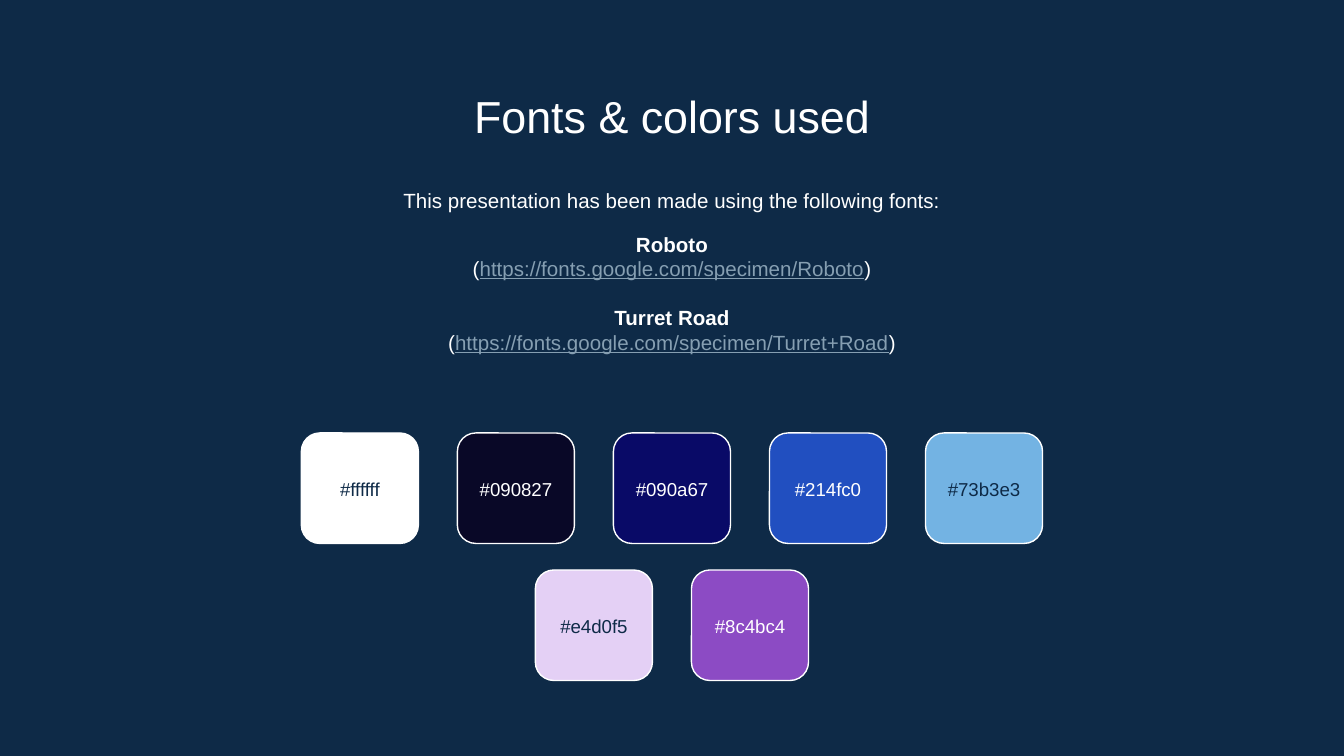
import pptx
import pptx.dml.color
import pptx.enum.shapes
import pptx.enum.text
import pptx.util

Pt = pptx.util.Pt

SLIDE_WIDTH, SLIDE_HEIGHT = 720, 405
FONT = "Arial"
COLORS = {"background": "0E2A47", "light": "FFFFFF", "link": "869FB2"}

FONTS_USED = [
    ("Roboto", "https://fonts.google.com/specimen/Roboto", 10),
    ("Turret Road", "https://fonts.google.com/specimen/Turret+Road", 13),
]
# Each swatch: its colour and the colour of its label
SWATCH_ROWS = [
    [("ffffff", "background"), ("090827", "light"), ("090a67", "light"),
     ("214fc0", "light"), ("73b3e3", "background")],
    [("e4d0f5", "background"), ("8c4bc4", "light")],
]


def rgb(hex_color):
    return pptx.dml.color.RGBColor.from_string(hex_color.upper())


def style(run, size, color="light", bold=False, underline=False):
    run.font.name = FONT
    run.font.size = Pt(size)
    run.font.color.rgb = rgb(COLORS[color])
    run.font.bold = bold
    run.font.underline = underline


def add_text_frame(slide, left, top, width, height, middle=False):
    """Add a wrapping text box with even insets and return its frame."""
    frame = slide.shapes.add_textbox(Pt(left), Pt(top), Pt(width), Pt(height)).text_frame
    frame.word_wrap = True
    frame.margin_left = frame.margin_right = Pt(7.2)
    frame.margin_top = frame.margin_bottom = Pt(7.2)
    anchors = pptx.enum.text.MSO_ANCHOR
    frame.vertical_anchor = anchors.MIDDLE if middle else anchors.TOP
    return frame


def write_line(paragraph, text, size, **look):
    paragraph.text = text
    paragraph.alignment = pptx.enum.text.PP_ALIGN.CENTER
    style(paragraph.runs[0], size, **look)


def add_title(slide, left, top, width, height):
    frame = add_text_frame(slide, left, top, width, height)
    write_line(frame.paragraphs[0], "Fonts & colors used", 24)


def add_font_list(slide, left, top, width, height):
    frame = add_text_frame(slide, left, top, width, height)
    write_line(frame.paragraphs[0],
               "This presentation has been made using the following fonts:", 11)
    for font_name, address, gap in FONTS_USED:
        heading = frame.add_paragraph()
        write_line(heading, font_name, 11, bold=True)
        heading.space_before = Pt(gap)

        source = frame.add_paragraph()
        write_line(source, "(", 11)
        for text, color, underline in [(address, "link", True), (")", "light", False)]:
            run = source.add_run()
            run.text = text
            style(run, 11, color, underline=underline)


def add_swatch(slide, left, top, width, height, fill, label_color):
    swatch = slide.shapes.add_shape(
        pptx.enum.shapes.MSO_SHAPE.ROUNDED_RECTANGLE,
        Pt(left), Pt(top), Pt(width), Pt(height))
    swatch.adjustments[0] = 0.167
    swatch.shadow.inherit = False
    swatch.fill.solid()
    swatch.fill.fore_color.rgb = rgb(fill)
    swatch.line.color.rgb = rgb(COLORS["light"])
    swatch.line.width = Pt(0.75)

    label = add_text_frame(slide, left, top + 12.7, width, 34.6, middle=True)
    write_line(label.paragraphs[0], "#" + fill, 10, color=label_color)


def add_palette(slide, left, top, width, height):
    """Centre each row of swatches in the box."""
    swatch_width, swatch_height, column_gap = 62.7, 59.2, 20.9
    row_step = height - swatch_height
    column_step = swatch_width + column_gap
    for row, swatches in enumerate(SWATCH_ROWS):
        row_width = len(swatches) * column_step - column_gap
        row_left = left + (width - row_width) / 2
        for column, (fill, label_color) in enumerate(swatches):
            add_swatch(slide, row_left + column * column_step, top + row * row_step,
                       swatch_width, swatch_height, fill, label_color)


def main():
    presentation = pptx.Presentation()
    presentation.slide_width = Pt(SLIDE_WIDTH)
    presentation.slide_height = Pt(SLIDE_HEIGHT)
    slide = presentation.slides.add_slide(presentation.slide_layouts[6])
    slide.background.fill.solid()
    slide.background.fill.fore_color.rgb = rgb(COLORS["background"])

    margin = 56.4
    content_width = SLIDE_WIDTH - 2 * margin
    add_title(slide, margin, 40.4, content_width, 38.2)
    add_font_list(slide, margin, 93.6, content_width, 112.4)
    add_palette(slide, margin, 232, content_width, 132.6)
    presentation.save("out.pptx")


if __name__ == "__main__":
    main()
